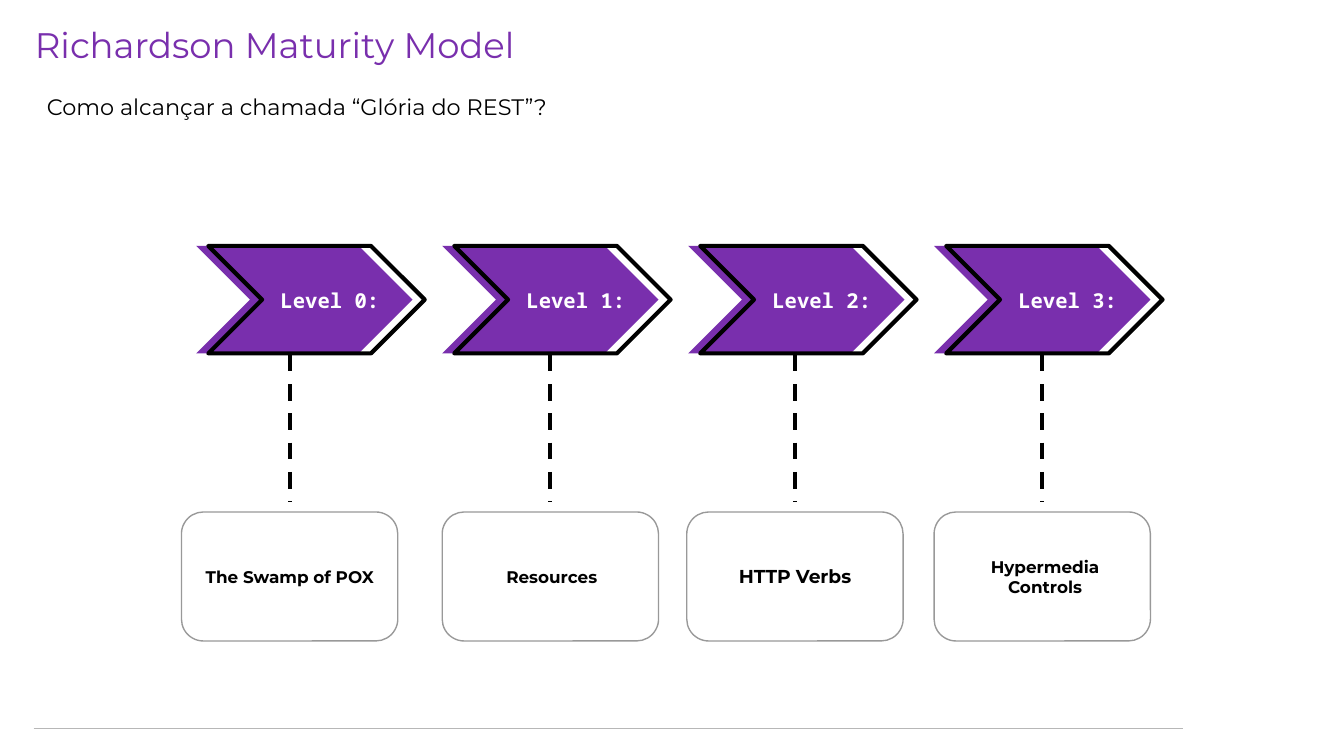
from dataclasses import dataclass

from lxml.etree import SubElement
from pptx import Presentation
from pptx.dml.color import RGBColor as Rgb
from pptx.enum.dml import MSO_LINE as Dash
from pptx.enum.shapes import MSO_CONNECTOR as Link, MSO_SHAPE as Form
from pptx.enum.text import MSO_ANCHOR as Anchor, MSO_AUTO_SIZE as Fit, PP_ALIGN as Align
from pptx.oxml.ns import qn
from pptx.util import Inches, Pt


@dataclass(frozen=True)
class Theme:
    """Colours, fonts and type sizes of the slide."""
    purple: str = "792FAD"
    black: str = "000000"
    white: str = "FFFFFF"
    edge: str = "999999"
    rule: str = "B7B7B7"
    sans: str = "Montserrat"
    mono: str = "Noto Sans Mono"
    title: float = 19
    lead: float = 12
    label: float = 11
    name: float = 9
    large: float = 10
    thick: float = 2.25
    thin: float = 0.75


THEME = Theme()
LEFT, PITCH, WIDTH = 1.46, 1.83, 1.61
ARROW_TOP, ARROW_HIGH = 1.83, 0.8
CARD_TOP, CARD_HIGH = 3.81, 0.96
LEVELS = [
    ("The Swamp of POX", THEME.name, 1.35, 1.38, 1.55),
    ("Resources", THEME.name, 3.29, 3.33, 1.55),
    ("HTTP Verbs", THEME.large, 5.11, 5.17, 1.49),
    ("Hypermedia Controls", THEME.name, 6.95, 7.03, 1.49),
]


def write(shape, text, size, color, font=THEME.sans, bold=False,
          align=Align.LEFT, inset=0.1, anchor=Anchor.TOP):
    """Fill a shape with one formatted paragraph."""
    frame = shape.text_frame
    frame.text = text
    frame.word_wrap = True
    frame.auto_size = Fit.NONE
    frame.vertical_anchor = anchor
    frame.margin_left = frame.margin_right = Inches(inset)
    frame.margin_top = frame.margin_bottom = Inches(inset)
    para = frame.paragraphs[0]
    para.alignment = align
    para.font.name, para.font.size, para.font.bold = font, Pt(size), bold
    para.font.color.rgb = Rgb.from_string(color)


def add_text(slide, box, *args, **style):
    """Add a text box with one formatted paragraph."""
    write(slide.shapes.add_textbox(*map(Inches, box)), *args, **style)


def add_form(slide, form, box, adjust, fill=None, line=None, width=THEME.thin):
    """Add a preset shape with an optional fill and outline."""
    shape = slide.shapes.add_shape(form, *map(Inches, box))
    shape.adjustments[0] = adjust
    shape.shadow.inherit = False
    if fill:
        shape.fill.solid()
        shape.fill.fore_color.rgb = Rgb.from_string(fill)
    else:
        shape.fill.background()
    if line:
        shape.line.color.rgb = Rgb.from_string(line)
        shape.line.width = Pt(width)
    else:
        shape.line.fill.background()


def add_line(slide, ends, color, width, dash=None):
    """Add a straight line without a shadow."""
    line = slide.shapes.add_connector(Link.STRAIGHT, *map(Inches, ends))
    line.line.color.rgb = Rgb.from_string(color)
    line.line.width = Pt(width)
    if dash:
        line.line.dash_style = dash
    SubElement(line._element.spPr, qn("a:effectLst"))


def add_arrow(slide, index):
    """Add a filled chevron, its shifted outline and the level label."""
    left = LEFT + index * PITCH
    box = (left, ARROW_TOP, WIDTH, ARROW_HIGH)
    add_form(slide, Form.CHEVRON, box, 0.5, fill=THEME.purple)
    add_form(slide, Form.CHEVRON, (left + 0.09, *box[1:]), 0.5,
             line=THEME.black, width=THEME.thick)
    add_text(slide, (left + 0.38, 2.04, 1.23, 0.39), f"Level {index}:",
             THEME.label, THEME.white, font=THEME.mono, bold=True,
             align=Align.CENTER)


def add_card(slide, name, size, left, start, width):
    """Add a rounded card, its name and the dashed tie above it."""
    mid = left + WIDTH / 2
    add_line(slide, (mid, 2.64, mid, 3.73), THEME.black, THEME.thick, Dash.DASH)
    add_form(slide, Form.ROUNDED_RECTANGLE, (left, CARD_TOP, WIDTH, CARD_HIGH),
             0.17, fill=THEME.white, line=THEME.edge)
    add_text(slide, (start, 3.99, width, 0.6), name, size,
             THEME.black, bold=True, align=Align.CENTER, inset=0.09,
             anchor=Anchor.MIDDLE)


def add_head(slide):
    """Set the title and the lead question."""
    title = slide.shapes.title
    title.left, title.top = Inches(0.16), Inches(0.07)
    title.width, title.height = Inches(4.39), Inches(0.52)
    write(title, "Richardson Maturity Model", THEME.title, THEME.purple)
    add_text(slide, (0.25, 0.59, 4.65, 0.4),
             "Como alcançar a chamada “Glória do REST”?",
             THEME.lead, THEME.black)


def main():
    """Build and save the slide."""
    deck = Presentation()
    deck.slide_width = Inches(10)
    deck.slide_height = deck.slide_width * 9 // 16
    slide = deck.slides.add_slide(deck.slide_layouts[5])
    add_head(slide)
    add_line(slide, (0.25, 5.42, 8.8, 5.42), THEME.rule, THEME.thin)
    for index, level in enumerate(LEVELS):
        add_arrow(slide, index)
        add_card(slide, *level)
    deck.save("out.pptx")


if __name__ == "__main__":
    main()
